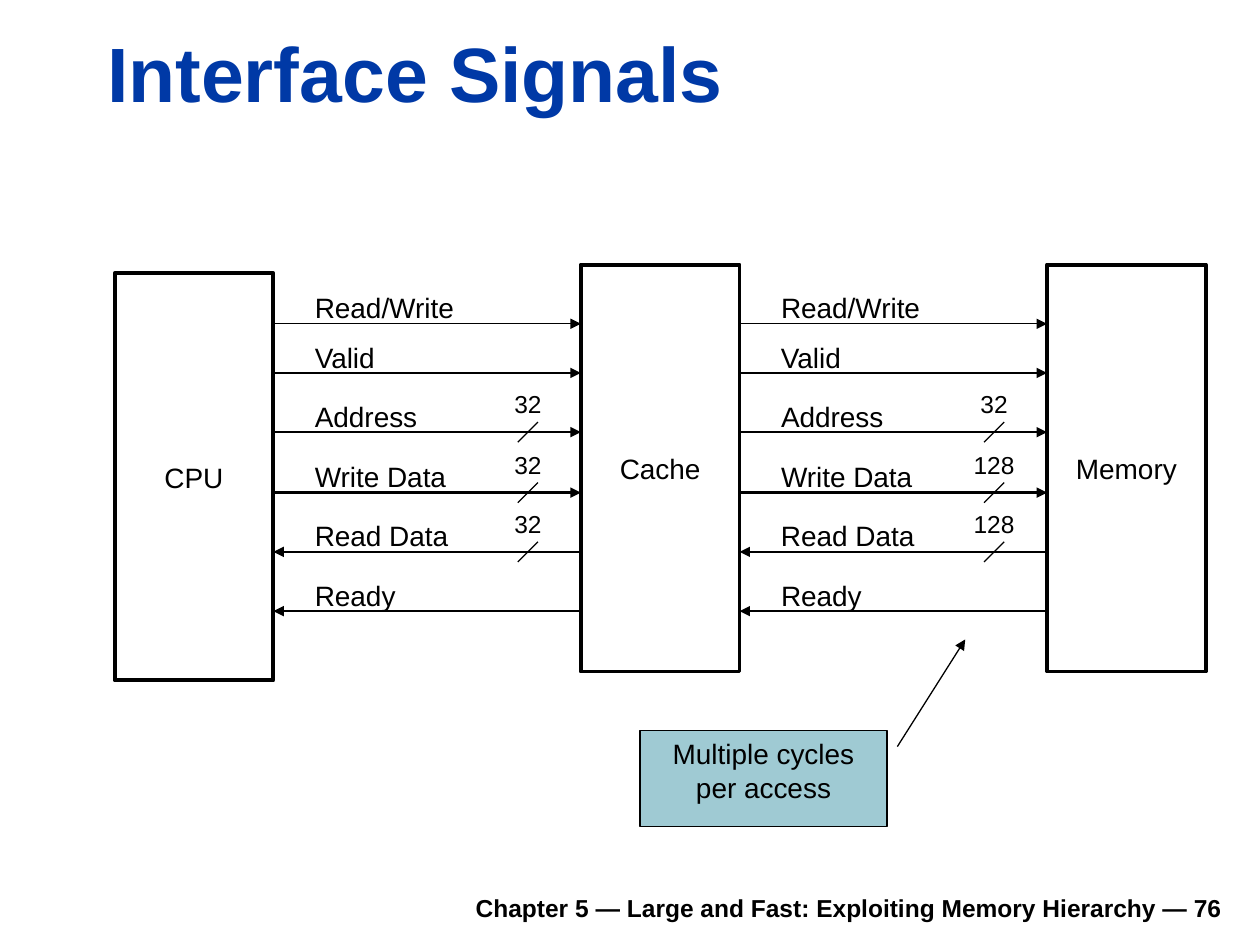
from lxml.etree import SubElement
from pptx import Presentation
from pptx.dml.color import RGBColor
from pptx.enum.shapes import MSO_CONNECTOR, MSO_SHAPE
from pptx.enum.text import MSO_ANCHOR, PP_ALIGN
from pptx.oxml.ns import qn
from pptx.util import Inches, Pt

BLACK = "000000"


def write(shape, text, size=16, align=PP_ALIGN.CENTER, anchor=MSO_ANCHOR.TOP,
          wrap=True, bold=False, color=BLACK):
    """Put one formatted paragraph into a shape."""
    frame = shape.text_frame
    frame.text = text
    frame.word_wrap = wrap
    frame.vertical_anchor = anchor
    para = frame.paragraphs[0]
    para.alignment = align
    font = para.runs[0].font
    font.name, font.size, font.bold = "Arial", Pt(size), bold
    font.color.rgb = RGBColor.from_string(color)


def draw_line(x1, y1, x2, y2, width=0.75, arrow_end=None):
    """Draw a black line, with a triangle at headEnd or tailEnd if asked."""
    line = slide.shapes.add_connector(
        MSO_CONNECTOR.STRAIGHT, Inches(x1), Inches(y1), Inches(x2), Inches(y2))
    line.line.color.rgb = RGBColor.from_string(BLACK)
    line.line.width = Pt(width)
    if arrow_end:
        SubElement(line.line._get_or_add_ln(), qn(f"a:{arrow_end}"), type="triangle")
    SubElement(line._element.spPr, qn("a:effectLst"))


deck = Presentation()
deck.slide_width, deck.slide_height = Inches(10), Inches(7.5)
slide = deck.slides.add_slide(deck.slide_layouts[5])

title = slide.shapes.title
title.left, title.top = Inches(0.75), Inches(0.16)
title.width, title.height = Inches(9.03), Inches(0.83)
write(title, "Interface Signals", 44, PP_ALIGN.LEFT, MSO_ANCHOR.BOTTOM,
      bold=True, color="0039A6")

footer = slide.shapes.add_textbox(Inches(1.85), Inches(6.98), Inches(7.95), Inches(0.39))
write(footer, "Chapter 5 — Large and Fast: Exploiting Memory Hierarchy — 76", 14,
      PP_ALIGN.RIGHT, MSO_ANCHOR.BOTTOM, bold=True)

# Hardware units
for name, left, top in [("CPU", 0.91, 2.17), ("Cache", 4.61, 2.1), ("Memory", 8.31, 2.1)]:
    unit = slide.shapes.add_shape(
        MSO_SHAPE.RECTANGLE, Inches(left), Inches(top), Inches(1.26), Inches(3.23))
    unit.shadow.inherit = False
    unit.fill.background()
    unit.line.color.rgb = RGBColor.from_string(BLACK)
    unit.line.width = Pt(2.25)
    write(unit, name, anchor=MSO_ANCHOR.MIDDLE, wrap=False)

# Signals: name, wire height, label width, arrow end, bits on each side of the cache
signals = [
    ("Read/Write", 2.57, 1.45, "tailEnd", None),
    ("Valid", 2.96, 0.76, "tailEnd", None),
    ("Address", 3.43, 1.12, "tailEnd", ("32", "32")),
    ("Write Data", 3.91, 1.38, "tailEnd", ("32", "128")),
    ("Read Data", 4.38, 1.4, "headEnd", ("32", "128")),
    ("Ready", 4.85, 0.92, "headEnd", None),
]
for side, start in enumerate([2.17, 5.87]):
    for name, y, label_width, arrow_end, bits in signals:
        draw_line(start, y, start + 2.44, y, 1.5 if bits else 0.75, arrow_end)
        label = slide.shapes.add_textbox(
            Inches(start + 0.23), Inches(y - 0.31), Inches(label_width), Inches(0.4))
        write(label, name, align=PP_ALIGN.LEFT)
        if bits:
            draw_line(start + 1.94, y + 0.08, start + 2.1, y - 0.08)
            count_width = 0.2 + 0.12 * len(bits[side])
            count = slide.shapes.add_textbox(
                Inches(start + 2.02 - count_width / 2), Inches(y - 0.39),
                Inches(count_width), Inches(0.33))
            write(count, bits[side], 14, wrap=False)

callout = slide.shapes.add_shape(
    MSO_SHAPE.LINE_CALLOUT_1, Inches(5.08), Inches(5.8), Inches(1.96), Inches(0.76))
for index, value in enumerate([0.166, 1.042, -0.954, 1.317]):
    callout.adjustments[index] = value
callout.shadow.inherit = False
callout.fill.solid()
callout.fill.fore_color.rgb = RGBColor.from_string("9FCAD3")
callout.line.color.rgb = RGBColor.from_string(BLACK)
callout.line.width = Pt(0.75)
SubElement(callout.line._get_or_add_ln(), qn("a:tailEnd"), type="triangle")
write(callout, "Multiple cycles per access")

deck.save("out.pptx")
